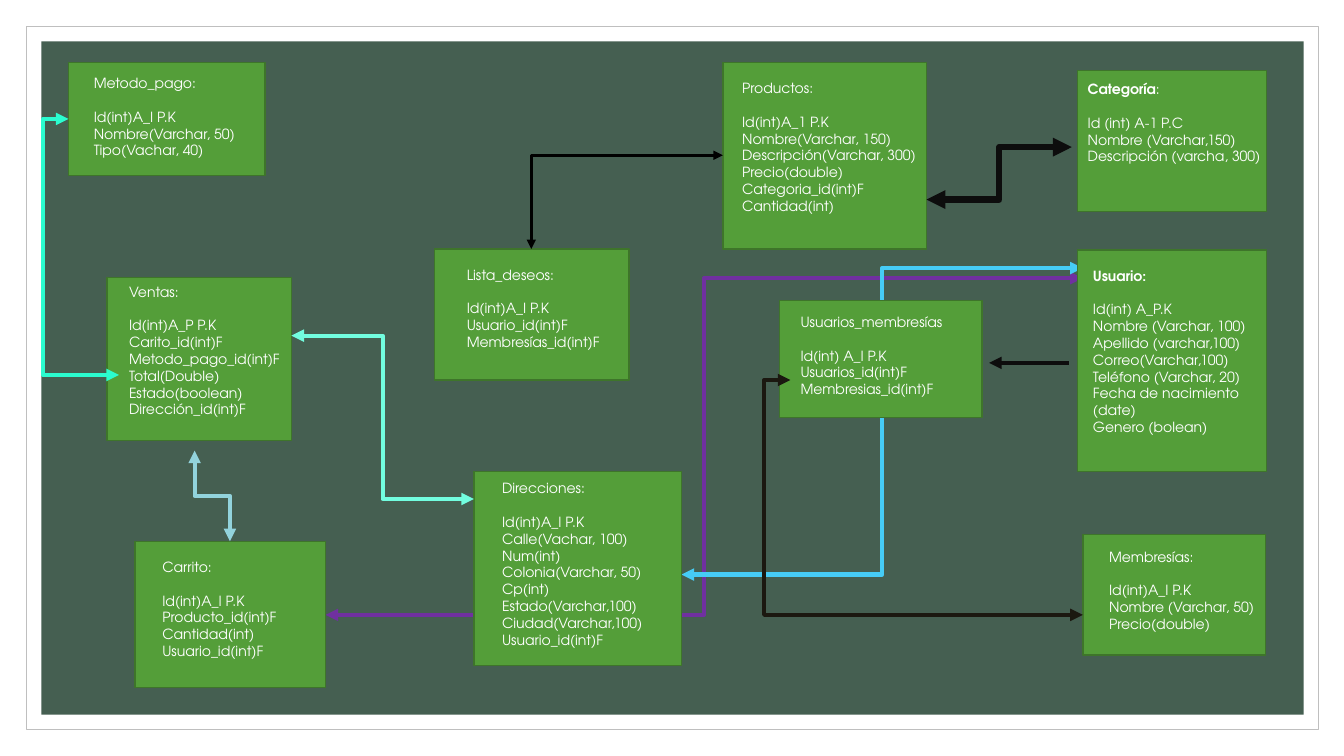
"""Draw the entity diagram of an online shop database."""
import pptx
import pptx.util
import pptx.dml.color
import pptx.enum.shapes
import pptx.enum.text
import pptx.oxml
import pptx.oxml.ns

Inches = pptx.util.Inches
Pt = pptx.util.Pt

FONT = "TeX Gyre Adventor"
TEXT_SIZE = 10
TITLE_GAP = 12
WHITE = "FFFFFF"

FRAMES = [
    ((0.26, 0.26, 12.82, 6.98), WHITE, "BFBFBF", 0.5),
    ((0.41, 0.41, 12.52, 6.68), "455F51", None, 0),
]

# name, bold characters, box, text offset (left, top), fields
TABLES = [
    ("Productos:", 0, (7.17, 0.62, 2.02, 1.85), (0.19, 0.17),
     ["Id(int)A_1 P.K", "Nombre(Varchar, 150)", "Descripción(Varchar, 300)",
      "Precio(double)", "Categoria_id(int)F", "Cantidad(int)"]),
    ("Usuarios_membresías", 0, (7.73, 2.98, 2.01, 1.16), (0.21, 0.13),
     ["Id(int) A_I P.K", "Usuarios_id(int)F", "Membresias_id(int)F"]),
    ("Membresías:", 0, (10.74, 5.3, 1.81, 1.2), (0.26, 0.14),
     ["Id(int)A_I P.K", "Nombre (Varchar, 50)", "Precio(double)"]),
    ("Categoría:", 9, (10.69, 0.7, 1.87, 1.4), (0.1, 0.1),
     ["Id (int) A-1 P.C", "Nombre (Varchar,150)", "Descripción (varcha, 300)"]),
    ("Usuario:", 8, (10.69, 2.48, 1.87, 2.2), (0.15, 0.17),
     ["Id(int) A_P.K", "Nombre (Varchar, 100)", "Apellido (varchar,100)",
      "Correo(Varchar,100)", "Teléfono (Varchar, 20)",
      "Fecha de nacimiento (date)", "Genero (bolean)"]),
    ("Metodo_pago:", 0, (0.68, 0.62, 1.95, 1.12), (0.25, 0.12),
     ["Id(int)A_I P.K", "Nombre(Varchar, 50)", "Tipo(Vachar, 40)"]),
    ("Direcciones:", 0, (4.7, 4.68, 2.06, 1.92), (0.28, 0.08),
     ["Id(int)A_I P.K", "Calle(Vachar, 100)", "Num(int)", "Colonia(Varchar, 50)",
      "Cp(int)", "Estado(Varchar,100)", "Ciudad(Varchar,100)", "Usuario_id(int)F"]),
    ("Ventas:", 0, (1.06, 2.75, 1.83, 1.62), (0.22, 0.06),
     ["Id(int)A_P P.K", "Carito_id(int)F", "Metodo_pago_id(int)F",
      "Total(Double)", "Estado(boolean)", "Dirección_id(int)F"]),
    ("Lista_deseos:", 0, (4.31, 2.47, 1.93, 1.3), (0.32, 0.17),
     ["Id(int)A_I P.K", "Usuario_id(int)F", "Membresías_id(int)F"]),
    ("Carrito:", 0, (1.34, 5.37, 1.89, 1.45), (0.27, 0.17),
     ["Id(int)A_I P.K", "Producto_id(int)F", "Cantidad(int)", "Usuario_id(int)F"]),
]

# start, end, colour, width, route, bend position (share of the run)
LINKS_BEHIND = [
    ((10.74, 2.76), (3.23, 6.1), "7030A0", 3, "across", 0.5),
    ((10.74, 2.66), (6.76, 5.7), "46CCF6", 3, "across", 0.5),
]
LINKS_IN_FRONT = [
    ((9.19, 1.98), (10.63, 1.46), "0D0D0D", 4.5, "across", 0.5),
    ((10.6, 3.6), (9.81, 3.6), "0D0D0D", 3, "straight", 0.5),
    ((7.84, 3.77), (10.74, 6.1), "1B1810", 3, "across", -0.09),
    ((7.17, 1.54), (5.27, 2.47), "000000", 2.25, "corner", 0.5),
    ((2.89, 3.33), (4.7, 4.95), "72FDDF", 3, "across", 0.5),
    ((0.68, 1.18), (1.18, 3.72), "2BFCCF", 3, "across", -0.5),
    ((1.93, 4.47), (2.28, 5.37), "92D3DC", 3, "down", 0.5),
]


def colour(hex_code):
    return pptx.dml.color.RGBColor.from_string(hex_code)


def add_box(page, place, fill, line, width):
    box = page.shapes.add_shape(
        pptx.enum.shapes.MSO_SHAPE.RECTANGLE, *[Inches(length) for length in place])
    box.shadow.inherit = False
    box.fill.solid()
    box.fill.fore_color.rgb = colour(fill)
    if line:
        box.line.color.rgb = colour(line)
        box.line.width = Pt(width)
    else:
        box.line.fill.background()
    return box


def add_table_box(page, name, bold_length, place, offset, fields):
    frame = add_box(page, place, "549E39", "3E752A", 1).text_frame
    frame.word_wrap = True
    frame.vertical_anchor = pptx.enum.text.MSO_ANCHOR.TOP
    frame.margin_left, frame.margin_top = [Inches(length) for length in offset]
    frame.margin_right = frame.margin_bottom = 0
    for index, line in enumerate([name] + fields):
        para = frame.paragraphs[0] if index == 0 else frame.add_paragraph()
        para.alignment = pptx.enum.text.PP_ALIGN.LEFT
        para.font.name = FONT
        para.font.size = Pt(TEXT_SIZE)
        para.font.color.rgb = colour(WHITE)
        if index == 0:
            para.space_after = Pt(TITLE_GAP)
        if index == 0 and bold_length:
            for part, bold in ((line[:bold_length], True), (line[bold_length:], False)):
                if part:
                    span = para.add_run()
                    span.text = part
                    span.font.bold = bold
        else:
            para.text = line


def add_link(page, start, end, line_colour, width, route, bend):
    kinds = pptx.enum.shapes.MSO_CONNECTOR
    kind = kinds.STRAIGHT if route == "straight" else kinds.ELBOW
    if route == "down":
        middle_x, middle_y = [(a + b) / 2 for a, b in zip(start, end)]
        half_x, half_y = [(b - a) / 2 for a, b in zip(start, end)]
        start = (middle_x + half_y, middle_y - half_x)
        end = (middle_x - half_y, middle_y + half_x)
    link = page.shapes.add_connector(
        kind, *[Inches(length) for length in start + end])
    link.line.color.rgb = colour(line_colour)
    link.line.width = Pt(width)
    properties = link._element.spPr
    geometry = properties.find(pptx.oxml.ns.qn("a:prstGeom"))
    if route == "down":
        properties.find(pptx.oxml.ns.qn("a:xfrm")).set("rot", "16200000")
    if route == "corner":
        geometry.set("prst", "bentConnector2")
    if bend != 0.5:
        guides = geometry.find(pptx.oxml.ns.qn("a:avLst"))
        guides.append(pptx.oxml.parse_xml(
            f'<a:gd {pptx.oxml.ns.nsdecls("a")} name="adj1" fmla="val {round(bend * 100000)}"/>'))
    for tag in ["tailEnd"] if route == "straight" else ["headEnd", "tailEnd"]:
        link.line._get_or_add_ln().append(pptx.oxml.parse_xml(
            f'<a:{tag} {pptx.oxml.ns.nsdecls("a")} type="triangle"/>'))
    properties.append(pptx.oxml.parse_xml(f'<a:effectLst {pptx.oxml.ns.nsdecls("a")}/>'))


def main():
    deck = pptx.Presentation()
    deck.slide_width = Inches(13.33)
    deck.slide_height = Inches(7.5)
    page = deck.slides.add_slide(deck.slide_layouts[6])
    for frame in FRAMES:
        add_box(page, *frame)
    for link in LINKS_BEHIND:
        add_link(page, *link)
    for table in TABLES:
        add_table_box(page, *table)
    for link in LINKS_IN_FRONT:
        add_link(page, *link)
    deck.save("out.pptx")


if __name__ == "__main__":
    main()
